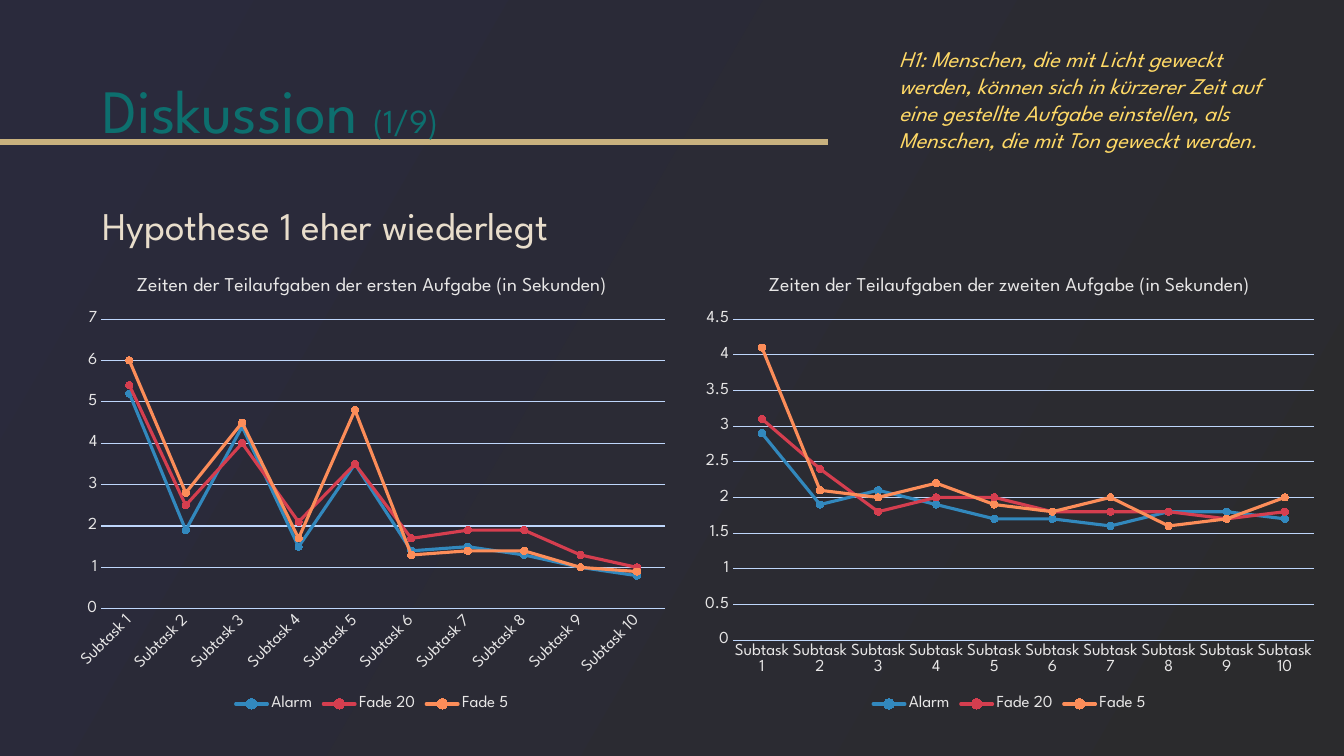
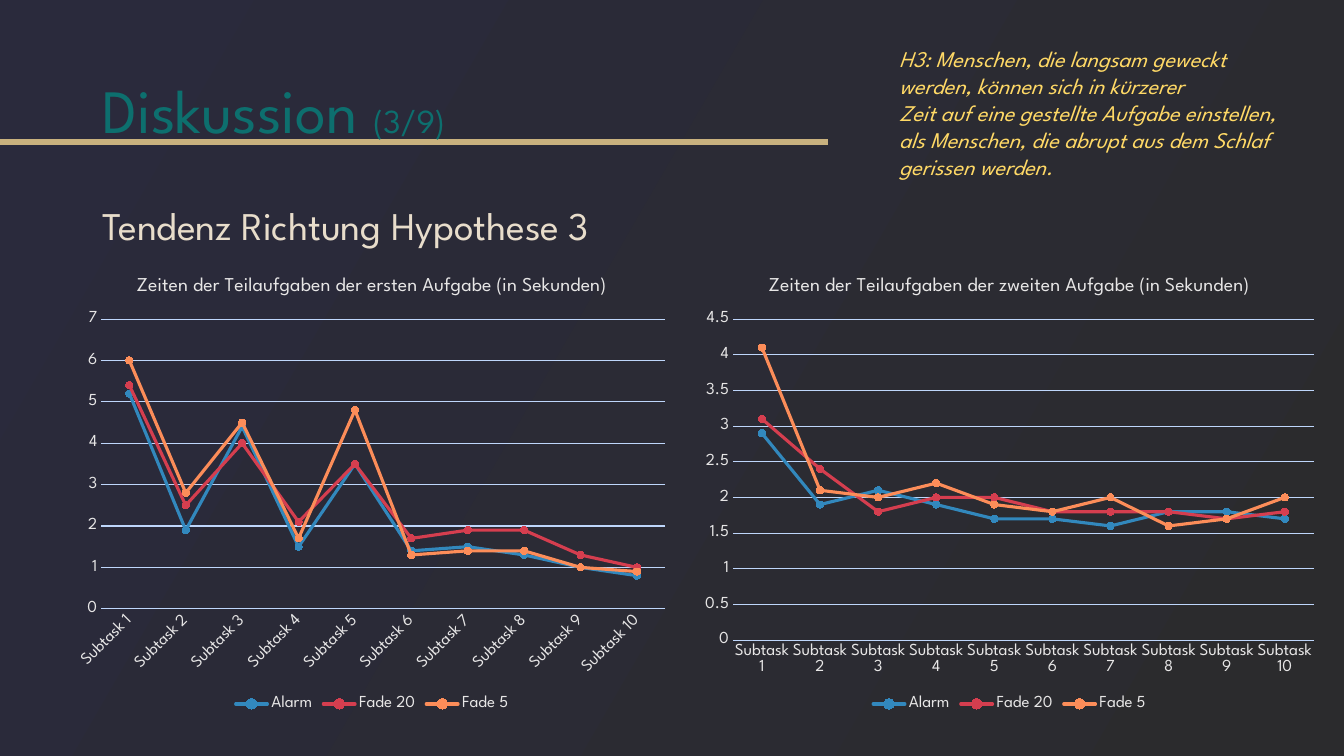
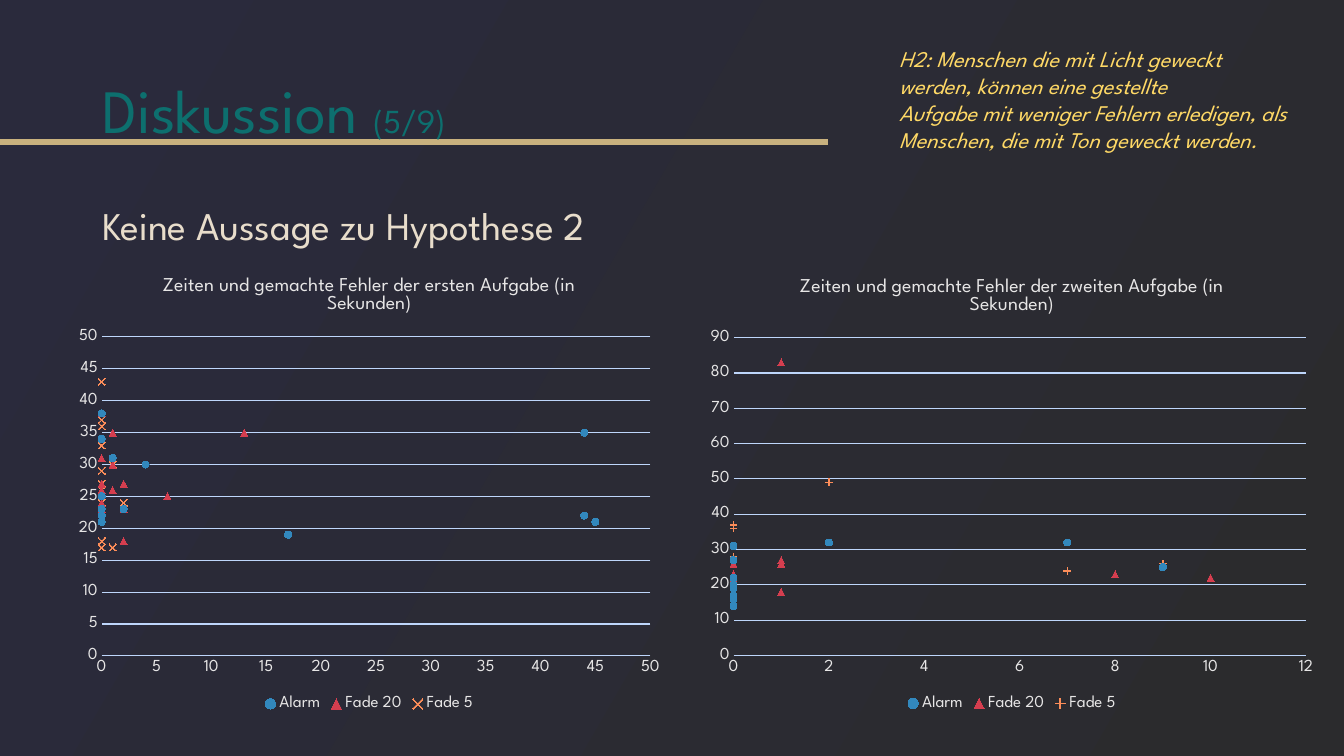
from dataclasses import dataclass

from pptx import Presentation
from pptx.chart.axis import _BaseAxis
from pptx.chart.chart import Chart
from pptx.chart.data import CategoryChartData, XyChartData
from pptx.dml.color import RGBColor
from pptx.enum.chart import XL_CHART_TYPE, XL_LEGEND_POSITION, XL_MARKER_STYLE, XL_TICK_MARK
from pptx.enum.shapes import MSO_CONNECTOR
from pptx.enum.text import MSO_ANCHOR, MSO_AUTO_SIZE
from pptx.oxml.ns import qn
from pptx.slide import Slide
from pptx.text.text import Font
from pptx.util import Cm, Pt

FONT = "League Spartan"
BACKGROUND = ("2A2A3C", "2B2B2D")
GOLD = "C8B17E"
TEAL = "0D6F6E"
CREAM = "E8DDCB"
YELLOW = "FFD966"
LIGHT_GREY = "E7E6E6"
PALE_BLUE = "BED6FB"
GROUP_COLOURS = {"Alarm": "3288BD", "Fade 20": "D53E4F", "Fade 5": "FC8D59"}

SUBTASKS = [f"Subtask {number}" for number in range(1, 11)]
CIRCLE = XL_MARKER_STYLE.CIRCLE
TRIANGLE = XL_MARKER_STYLE.TRIANGLE


@dataclass(frozen=True)
class Box:
    """A place on the slide, in centimetres."""
    left: float
    top: float
    width: float
    height: float

    def lengths(self) -> tuple[Cm, Cm, Cm, Cm]:
        return Cm(self.left), Cm(self.top), Cm(self.width), Cm(self.height)


@dataclass(frozen=True)
class TextRun:
    text: str
    size: float
    colour: str
    italic: bool = False


@dataclass(frozen=True)
class GroupData:
    """Times of one group; first_person is its offset in the chart's error list."""
    name: str
    times: list[float]
    first_person: int = 0
    marker: XL_MARKER_STYLE = CIRCLE


@dataclass(frozen=True)
class TimeChart:
    title: str
    box: Box
    groups: list[GroupData]
    time_max: float
    time_step: float
    errors: list[int] | None = None
    error_max: float | None = None
    error_step: float | None = None


@dataclass(frozen=True)
class Discussion:
    number: int
    finding: str
    hypothesis: list[str]
    charts: list[TimeChart]


TITLE_BOX = Box(2.33, 1.02, 29.21, 3.68)
FINDING_BOX = Box(2.33, 5.08, 29.21, 1.4)
HYPOTHESIS_BOX = Box(22.41, 1.02, 10.46, 3.68)

SUBTASK_CHARTS = [
    TimeChart(
        "Zeiten der Teilaufgaben der ersten Aufgabe (in Sekunden)",
        Box(1.68, 6.5, 15.39, 11.54),
        [
            GroupData("Alarm", [5.2, 1.9, 4.4, 1.5, 3.5, 1.4, 1.5, 1.3, 1, 0.8]),
            GroupData("Fade 20", [5.4, 2.5, 4, 2.1, 3.5, 1.7, 1.9, 1.9, 1.3, 1]),
            GroupData("Fade 5", [6, 2.8, 4.5, 1.7, 4.8, 1.3, 1.4, 1.4, 1, 0.9]),
        ],
        time_max=7, time_step=1,
    ),
    TimeChart(
        "Zeiten der Teilaufgaben der zweiten Aufgabe (in Sekunden)",
        Box(17.45, 6.5, 15.98, 11.54),
        [
            GroupData("Alarm", [2.9, 1.9, 2.1, 1.9, 1.7, 1.7, 1.6, 1.8, 1.8, 1.7]),
            GroupData("Fade 20", [3.1, 2.4, 1.8, 2, 2, 1.8, 1.8, 1.8, 1.7, 1.8]),
            GroupData("Fade 5", [4.1, 2.1, 2, 2.2, 1.9, 1.8, 2, 1.6, 1.7, 2]),
        ],
        time_max=4.5, time_step=0.5,
    ),
]

ERROR_CHARTS = [
    TimeChart(
        "Zeiten und gemachte Fehler der ersten Aufgabe (in Sekunden)",
        Box(1.68, 6.5, 15.25, 11.54),
        [
            GroupData("Alarm",
                      [34, 23, 22, 21, 21, 25, 23, 38, 21, 31, 35, 23, 30, 19, 22]),
            GroupData("Fade 20",
                      [25, 27, 26, 27, 23, 26, 30, 31, 24, 35, 35, 18, 38, 23, 24],
                      30, TRIANGLE),
            GroupData("Fade 5",
                      [17, 33, 36, 24, 27, 24, 23, 27, 26, 37, 17, 43, 18, 30, 29],
                      15, XL_MARKER_STYLE.X),
        ],
        time_max=50, time_step=5,
        errors=[0, 0, 0, 0, 45, 0, 0, 0, 0, 1, 44, 2, 4, 17, 44,
                0, 0, 0, 0, 0, 2, 2, 0, 0, 0, 1, 0, 0, 1, 0,
                6, 2, 1, 0, 0, 0, 1, 0, 0, 1, 13, 2, 0, 2, 0],
        error_max=50, error_step=5,
    ),
    TimeChart(
        "Zeiten und gemachte Fehler der zweiten Aufgabe (in Sekunden)",
        Box(17.59, 6.52, 15.82, 11.51),
        [
            GroupData("Alarm",
                      [20, 14, 19, 16, 31, 32, 19, 16, 32, 27, 25, 22, 20, 17, 20], 30),
            GroupData("Fade 20",
                      [20, 23, 18, 20, 26, 27, 20, 18, 18, 23, 22, 83, 20, 22, 26],
                      0, TRIANGLE),
            GroupData("Fade 5",
                      [17, 19, 49, 19, 28, 20, 21, 20, 16, 21, 21, 36, 24, 37, 26],
                      15, XL_MARKER_STYLE.PLUS),
        ],
        time_max=90, time_step=10,
        errors=[0, 0, 1, 0, 1, 1, 0, 0, 0, 8, 0, 1, 0, 10, 0,
                0, 0, 2, 0, 0, 0, 0, 0, 0, 0, 0, 0, 7, 0, 9,
                0, 0, 0, 0, 0, 7, 0, 0, 2, 0, 9, 0, 0, 0, 0],
        error_max=12, error_step=2,
    ),
]

DISCUSSIONS = [
    Discussion(
        1, "Hypothese 1 eher wiederlegt",
        ["H1: Menschen, die mit Licht geweckt werden, können sich in kürzerer Zeit auf "
         "eine gestellte Aufgabe einstellen, als Menschen, die mit Ton geweckt werden."],
        SUBTASK_CHARTS,
    ),
    Discussion(
        3, "Tendenz Richtung Hypothese 3",
        ["H3: Menschen, die langsam geweckt werden, können sich in kürzerer",
         "Zeit auf eine gestellte Aufgabe einstellen, als Menschen, die abrupt aus dem Schlaf",
         "gerissen werden."],
        SUBTASK_CHARTS,
    ),
    Discussion(
        5, "Keine Aussage zu Hypothese 2",
        ["H2: Menschen die mit Licht geweckt werden, können eine gestellte",
         "Aufgabe mit weniger Fehlern erledigen, als Menschen, die mit Ton geweckt werden."],
        ERROR_CHARTS,
    ),
]


def rgb(colour: str) -> RGBColor:
    return RGBColor.from_string(colour)


def style_font(font: Font, size: float, colour: str, italic: bool = False) -> None:
    font.name = FONT
    font.size = Pt(size)
    font.bold = False
    font.italic = italic
    font.color.rgb = rgb(colour)


def add_text(slide: Slide, box: Box, paragraphs: list[list[TextRun]],
             line_spacing: float = 1.0, anchor: MSO_ANCHOR = MSO_ANCHOR.TOP,
             grow: bool = False) -> None:
    frame = slide.shapes.add_textbox(*box.lengths()).text_frame
    frame.word_wrap = True
    frame.vertical_anchor = anchor
    frame.auto_size = MSO_AUTO_SIZE.SHAPE_TO_FIT_TEXT if grow else MSO_AUTO_SIZE.NONE
    for index, runs in enumerate(paragraphs):
        paragraph = frame.add_paragraph() if index else frame.paragraphs[0]
        paragraph.line_spacing = line_spacing
        for part in runs:
            run = paragraph.add_run()
            run.text = part.text
            style_font(run.font, part.size, part.colour, part.italic)


def paint_background(slide: Slide) -> None:
    fill = slide.background.fill
    fill.gradient()
    fill.gradient_angle = 330
    for stop, colour in zip(fill.gradient_stops, BACKGROUND):
        stop.color.rgb = rgb(colour)


def add_title_rule(slide: Slide) -> None:
    rule = slide.shapes.add_connector(
        MSO_CONNECTOR.STRAIGHT, Cm(0), Cm(3.57), Cm(20.86), Cm(3.57))
    rule.line.color.rgb = rgb(GOLD)
    rule.line.width = Pt(4.5)
    properties = rule._element.spPr
    properties.append(properties.makeelement(qn("a:effectLst"), {}))


def style_axis(axis: _BaseAxis) -> None:
    axis.major_tick_mark = axis.minor_tick_mark = XL_TICK_MARK.NONE
    axis.has_major_gridlines = False
    axis.format.line.color.rgb = rgb(PALE_BLUE)
    axis.format.line.width = Pt(0.75)
    style_font(axis.tick_labels.font, 12, LIGHT_GREY)
    # This angle lets the labels turn by themselves when they do not fit.
    label_body = axis._element.find(qn("c:txPr")).find(qn("a:bodyPr"))
    label_body.set("rot", "-60000000")
    label_body.set("vert", "horz")


def scale_axis(axis: _BaseAxis, maximum: float, step: float) -> None:
    axis.minimum_scale = 0
    axis.maximum_scale = maximum
    axis.major_unit = step


def style_chart(chart: Chart, content: TimeChart) -> None:
    chart.font.size = Pt(10)
    chart.font.name = "Calibri"
    chart.font.color.rgb = rgb("031634")

    chart.has_title = True
    title_run = chart.chart_title.text_frame.paragraphs[0].add_run()
    title_run.text = content.title
    style_font(title_run.font, 14, LIGHT_GREY)
    chart.chart_title.include_in_layout = False

    chart.has_legend = True
    chart.legend.position = XL_LEGEND_POSITION.BOTTOM
    chart.legend.include_in_layout = False
    style_font(chart.legend.font, 12, LIGHT_GREY)

    style_axis(chart.category_axis)
    times = chart.value_axis
    style_axis(times)
    times.format.line.fill.background()
    scale_axis(times, content.time_max, content.time_step)
    times.has_major_gridlines = True
    times.major_gridlines.format.line.color.rgb = rgb(PALE_BLUE)
    times.major_gridlines.format.line.width = Pt(0.75)


def scatter_data(content: TimeChart) -> XyChartData:
    """Give every group all persons, with no time for those of other groups."""
    data = XyChartData()
    for group in content.groups:
        points = data.add_series(group.name)
        times = dict(enumerate(group.times, group.first_person))
        for person, errors in enumerate(content.errors):
            points.add_data_point(errors, times.get(person))
    return data


def line_data(content: TimeChart) -> CategoryChartData:
    data = CategoryChartData()
    data.categories = SUBTASKS
    for group in content.groups:
        data.add_series(group.name, group.times)
    return data


def drop_missing_points(chart: Chart) -> None:
    for point in list(chart._chartSpace.iter(qn("c:pt"))):
        if point.find(qn("c:v")).text in (None, "", "None"):
            point.getparent().remove(point)


def add_time_chart(slide: Slide, content: TimeChart) -> None:
    """Draw a scatter chart if errors are given, else lines over the subtasks."""
    is_scatter = content.errors is not None
    kind = XL_CHART_TYPE.XY_SCATTER if is_scatter else XL_CHART_TYPE.LINE_MARKERS
    data = scatter_data(content) if is_scatter else line_data(content)
    chart = slide.shapes.add_chart(kind, *content.box.lengths(), data).chart
    style_chart(chart, content)
    if is_scatter:
        drop_missing_points(chart)
        scale_axis(chart.category_axis, content.error_max, content.error_step)

    plot = chart.plots[0]
    plot.vary_by_categories = False
    for series, group in zip(plot.series, content.groups):
        colour = rgb(GROUP_COLOURS[group.name])
        series.marker.style = group.marker
        series.marker.size = 5
        series.marker.format.fill.solid()
        series.marker.format.fill.fore_color.rgb = colour
        series.marker.format.line.color.rgb = colour
        series.marker.format.line.width = Pt(0.75)
        if is_scatter:
            series.format.line.fill.background()
        else:
            series.smooth = False
            series.format.line.color.rgb = colour
            series.format.line.width = Pt(2.25)
            series._element.find(qn("c:spPr")).find(qn("a:ln")).set("cap", "rnd")


def add_discussion(slide: Slide, content: Discussion) -> None:
    paint_background(slide)
    add_title_rule(slide)
    add_text(slide, TITLE_BOX,
             [[TextRun("Diskussion ", 44, TEAL), TextRun(f"({content.number}/9)", 24, TEAL)]],
             line_spacing=0.9, anchor=MSO_ANCHOR.MIDDLE)
    add_text(slide, FINDING_BOX, [[TextRun(content.finding, 28, CREAM)]], line_spacing=0.9)
    for chart in content.charts:
        add_time_chart(slide, chart)
    add_text(slide, HYPOTHESIS_BOX,
             [[TextRun(line, 16, YELLOW, italic=True)] for line in content.hypothesis],
             grow=True)


def main() -> None:
    presentation = Presentation()
    presentation.slide_width = Cm(33.87)
    presentation.slide_height = Cm(19.05)
    blank = presentation.slide_layouts[6]
    for discussion in DISCUSSIONS:
        add_discussion(presentation.slides.add_slide(blank), discussion)
    presentation.save("out.pptx")


if __name__ == "__main__":
    main()
